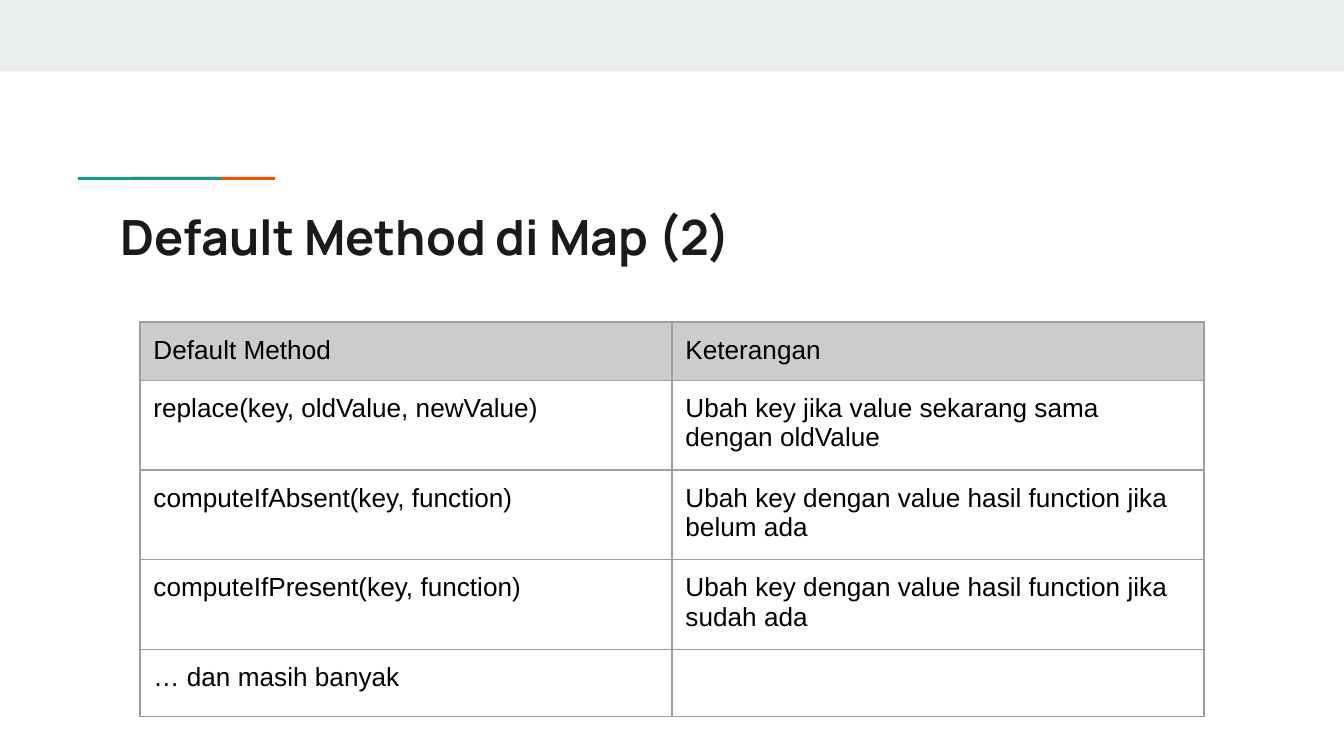
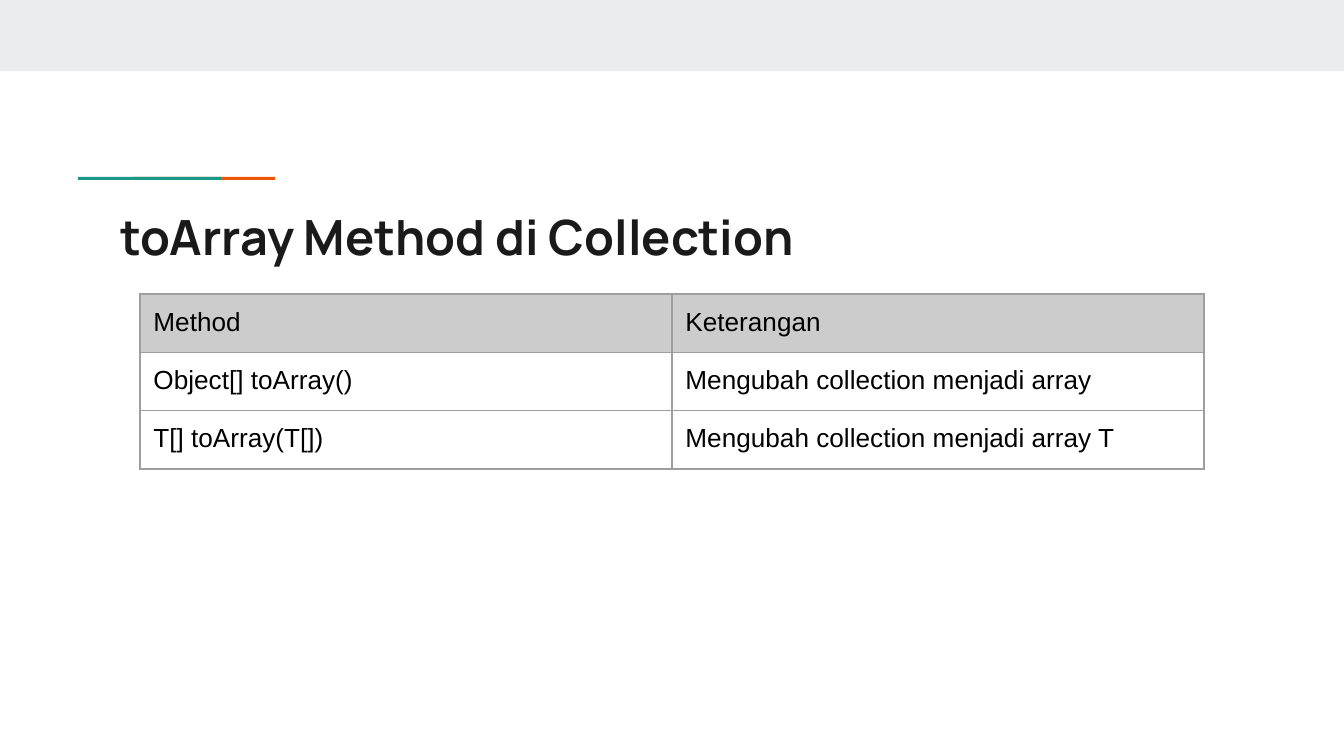
from pptx import Presentation
from pptx.dml.color import RGBColor
from pptx.enum.shapes import MSO_SHAPE as SHAPE
from pptx.enum.text import MSO_ANCHOR as ANCHOR
from pptx.oxml.ns import qn
from pptx.util import Pt
from lxml.etree import SubElement

WIDTH, HEIGHT = 720, 405
BAND, ORANGE, TEAL = "E9EDEE", "EB5600", "1A9988"
INK, BLACK, HEADER, GRID = "1A1A1A", "000000", "CCCCCC", "9E9E9E"
INSET = 7.2


def rgb(value):
    return RGBColor.from_string(value)


def write(tf, text, font="Arial", size=14, color=BLACK, bold=False):
    r = tf.paragraphs[0].add_run()
    r.text = text
    r.font.name, r.font.size, r.font.bold = font, Pt(size), bold
    r.font.color.rgb = rgb(color)


def set_insets(box):
    box.margin_left = box.margin_right = Pt(INSET)
    box.margin_top = box.margin_bottom = Pt(INSET)


def set_borders(cell, color=GRID, width=0.75):
    """Draw all four cell sides; they must come before the cell's fill."""
    props = cell._tc.get_or_add_tcPr()
    for side in ("lnL", "lnR", "lnT", "lnB"):
        line = SubElement(props, qn(f"a:{side}"), w=str(Pt(width)))
        fill = SubElement(line, qn("a:solidFill"))
        SubElement(fill, qn("a:srgbClr"), val=color)


class Deck:
    def __init__(self):
        self.prs = Presentation()
        self.prs.slide_width, self.prs.slide_height = Pt(WIDTH), Pt(HEIGHT)
        self.s = None

    def slide(self, title):
        """Start a slide with the band, the two-colour rule and its title."""
        self.s = self.prs.slides.add_slide(self.prs.slide_layouts[6])
        self.rect(0, 0, WIDTH, 38.2, BAND)
        self.rect(71.2, 94.8, 76.2, 1.6, ORANGE)
        self.rect(41.8, 94.8, 76.6, 1.6, TEAL)
        self.title(title)

    def rect(self, x, y, w, h, color):
        sp = self.s.shapes.add_shape(SHAPE.RECTANGLE, Pt(x), Pt(y), Pt(w), Pt(h))
        sp.shadow.inherit = False
        sp.fill.solid()
        sp.fill.fore_color.rgb = rgb(color)
        sp.line.fill.background()

    def title(self, text):
        sp = self.s.shapes.add_textbox(Pt(57.6), Pt(103.6), Pt(605.4), Pt(42.4))
        tf = sp.text_frame
        tf.word_wrap = True
        tf.vertical_anchor = ANCHOR.TOP
        set_insets(tf)
        write(tf, text, font="Manrope", size=26, color=INK, bold=True)

    def table(self, y, rows, x=75, col_width=285, row_height=30):
        cols = len(rows[0])
        table = self.s.shapes.add_table(
            len(rows), cols, Pt(x), Pt(y),
            Pt(cols * col_width), Pt(len(rows) * row_height)).table
        table.first_row = table.horz_banding = False
        for col in table.columns:
            col.width = Pt(col_width)
        for i, row in enumerate(rows):
            table.rows[i].height = Pt(row_height)
            for j, text in enumerate(row):
                self.cell(table.cell(i, j), text, is_header=i == 0)

    def cell(self, cell, text, is_header):
        set_insets(cell)
        set_borders(cell)
        if is_header:
            cell.fill.solid()
            cell.fill.fore_color.rgb = rgb(HEADER)
        else:
            cell.fill.background()
        if text:
            write(cell.text_frame, text)


def main():
    deck = Deck()

    deck.slide("Default Method di Map (2)")
    deck.table(172.5, [
        ("Default Method", "Keterangan"),
        ("replace(key, oldValue, newValue)",
         "Ubah key jika value sekarang sama dengan oldValue"),
        ("computeIfAbsent(key, function)",
         "Ubah key dengan value hasil function jika belum ada"),
        ("computeIfPresent(key, function)",
         "Ubah key dengan value hasil function jika sudah ada"),
        ("… dan masih banyak", ""),
    ])

    deck.slide("toArray Method di Collection")
    deck.table(157.5, [
        ("Method", "Keterangan"),
        ("Object[] toArray()", "Mengubah collection menjadi array"),
        ("T[] toArray(T[])", "Mengubah collection menjadi array T"),
    ])

    deck.prs.save("out.pptx")


if __name__ == "__main__":
    main()
